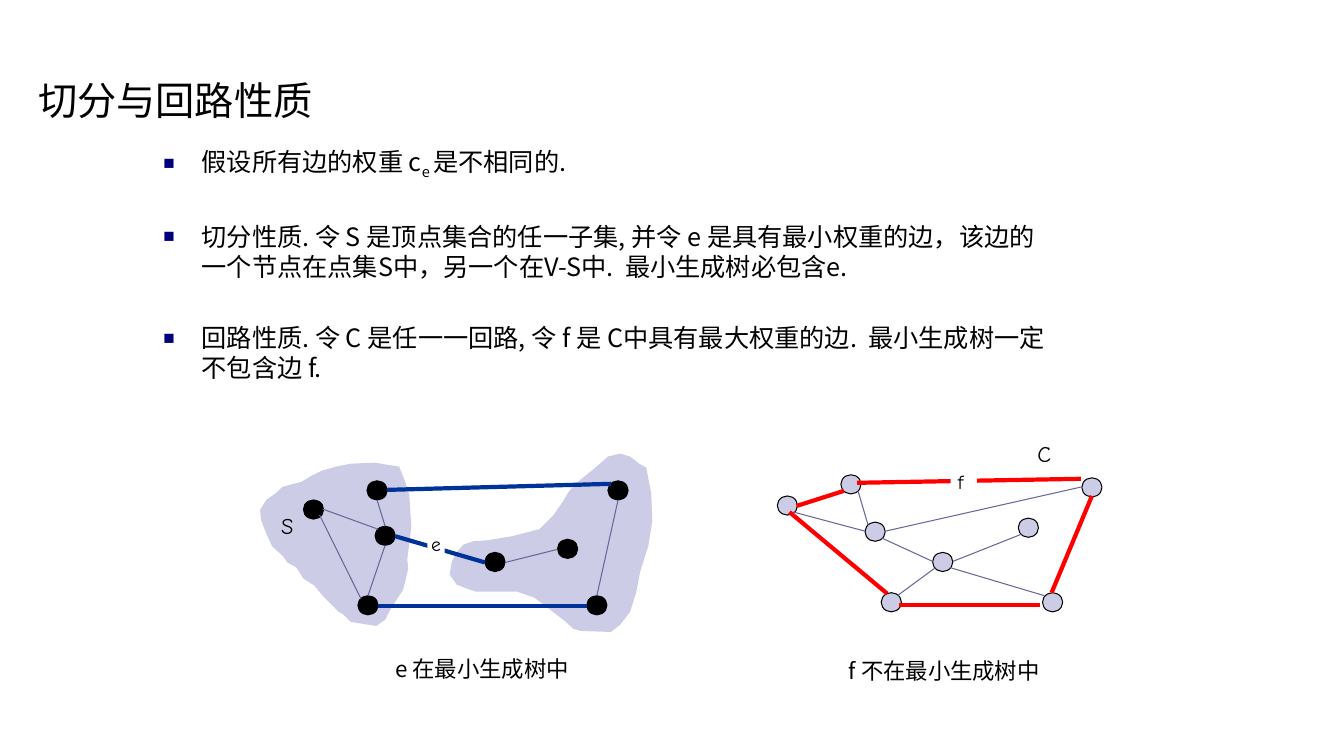
from dataclasses import dataclass
from typing import Any

from lxml import etree
from pptx import Presentation
from pptx import util as u
from pptx.dml.color import RGBColor
from pptx.enum import shapes, text
from pptx.oxml import ns

HAN, COMIC = "Noto Sans CJK SC", "Comic Neue"
BLACK, WHITE, PALE = "000000", "FFFFFF", "CCCCE6"
NAVY, BLUE, RED, SLATE = "00007D", "003399", "FF0000", "666699"
GAP = 29.4
Point = tuple[float, float]


@dataclass
class Edge:
    start: Point
    end: Point
    hue: str = SLATE
    width: float = 0.75


@dataclass
class Run:
    words: str
    sub: bool = False


@dataclass
class Label:
    words: str
    box: tuple[float, float, float, float]
    font: str = COMIC
    size: float = 16
    wrap: bool = False
    masks: bool = False


ITEMS = [
    [Run("假设所有边的权重 c"), Run("e ", sub=True), Run("是不相同的.")],
    [Run("切分性质. 令 S 是顶点集合的任一子集, 并令 e 是具有最小权重的边，"
         "该边的一个节点在点集S中，另一个在V-S中.  最小生成树必包含e.")],
    [Run("回路性质. 令 C 是任一一回路, 令 f 是 C中具有最大权重的边.  "
         "最小生成树一定不包含边 f.")],
]

# Diagram positions are in inches; size() turns them into Cm.
CUT_SETS: list[list[Point]] = [
    [(6.15, 4.5), (6.25, 4.53), (6.34, 4.6), (6.41, 4.64), (6.46, 4.9), (6.47, 5.17),
     (6.43, 5.42), (6.35, 5.67), (6.31, 5.88), (6.25, 6.07), (6.15, 6.2), (6.06, 6.27),
     (5.76, 6.26), (5.69, 6.24), (5.6, 6.16), (5.47, 6.06), (5.41, 6.01),
     (5.3, 5.93), (5.13, 5.87), (4.72, 5.87), (4.63, 5.84), (4.53, 5.8),
     (4.46, 5.7), (4.48, 5.58), (4.53, 5.48), (4.6, 5.4), (4.7, 5.37), (4.84, 5.36),
     (5.08, 5.32), (5.35, 5.25), (5.42, 5.18), (5.49, 5.11), (5.58, 4.98),
     (5.64, 4.88), (5.72, 4.79), (5.88, 4.66), (5.94, 4.61), (6.03, 4.53)],
    [(2.8, 4.83), (2.99, 4.78), (3.09, 4.72), (3.19, 4.67), (3.33, 4.63),
     (3.48, 4.6), (3.72, 4.59), (3.96, 4.63), (4.02, 4.78), (4.06, 4.91), (4.08, 5.23),
     (4.04, 5.55), (4.05, 5.64), (4, 5.85), (3.87, 6.05), (3.82, 6.15), (3.73, 6.21),
     (3.48, 6.17), (3.4, 6.09), (3.36, 6.07), (3.25, 5.96), (3.2, 5.91),
     (3.12, 5.81), (3.01, 5.74), (2.94, 5.63), (2.85, 5.58), (2.81, 5.52),
     (2.7, 5.42), (2.64, 5.29), (2.59, 5.16), (2.58, 5.06), (2.64, 4.96), (2.74, 4.89)],
]
CUT_NODES = [(3.01, 4.96), (6.03, 4.77), (5.82, 5.91), (3.64, 4.77),
             (3.72, 5.22), (3.55, 5.91), (5.53, 5.35), (4.81, 5.48)]
CUT_EDGES = [
    Edge((5.82, 6.01), (3.75, 6.01), BLUE, 3),
    Edge((3.84, 4.86), (6.06, 4.8), BLUE, 3),
    Edge((3.92, 5.32), (4.81, 5.58), BLUE, 3),
    Edge((3.2, 5.05), (3.75, 5.25)),
    Edge((3.17, 5.11), (3.58, 5.94)),
    Edge((3.74, 4.96), (3.82, 5.22)),
    Edge((3.82, 5.41), (3.65, 5.91)),
    Edge((6.13, 4.96), (5.92, 5.91)),
    Edge((5.53, 5.45), (5.01, 5.58)),
]
LOOP_NODES = [(7.71, 4.92), (10.73, 4.74), (10.34, 5.88), (8.34, 4.71),
              (8.58, 5.18), (8.74, 5.88), (10.1, 5.14), (9.25, 5.48)]
LOOP_EDGES = [
    Edge((7.9, 5.02), (8.37, 4.87), RED, 3),
    Edge((8.8, 5.89), (7.83, 5.08), RED, 3),
    Edge((10.83, 4.92), (10.43, 5.88), RED, 3),
    Edge((10.32, 6), (8.92, 6), RED, 3),
    Edge((8.5, 4.79), (10.72, 4.75), RED, 3),
    Edge((8.51, 4.87), (8.61, 5.21)),
    Edge((10.73, 4.83), (8.78, 5.27)),
    Edge((9.25, 5.57), (8.75, 5.34)),
    Edge((9.28, 5.63), (8.9, 5.91)),
    Edge((10.36, 5.91), (9.42, 5.63)),
    Edge((10.13, 5.3), (9.45, 5.57)),
    Edge((8.58, 5.27), (7.87, 5.08)),
]
LABELS = [
    Label("f ", (9.43, 4.66, 0.26, 0.24), size=14, masks=True),
    Label("C", (10.19, 4.32, 0.34, 0.37)),
    Label("S", (2.69, 5.03, 0.36, 0.37)),
    Label("e 在最小生成树中", (3.82, 6.45, 1.97, 0.37), HAN, wrap=True),
    Label("e", (4.24, 5.27, 0.17, 0.24), size=14, masks=True),
    Label("f 不在最小生成树中", (8.32, 6.47, 2.18, 0.37), HAN),
]


def size(value: float) -> u.Length:
    """Turn inches into a Cm length."""
    return u.Cm(value * 2.54)


def tint(code: str) -> RGBColor:
    return RGBColor.from_string(code)


def paint(shape: Any, hue: str) -> None:
    shape.shadow.inherit = False
    shape.fill.solid()
    shape.fill.fore_color.rgb = tint(hue)
    shape.line.fill.background()


def place(shape: Any, *box: float) -> None:
    shape.left, shape.top, shape.width, shape.height = map(size, box)


def write(para: Any, run: Run, font: str, points: float) -> None:
    part = para.add_run()
    part.text = run.words
    part.font.size = u.Pt(points)
    part.font.color.rgb = tint(BLACK)
    part.font.name = font
    props = part.font._element
    etree.SubElement(props, ns.qn("a:ea")).set("typeface", font)
    if run.sub:
        props.set("baseline", "-25000")


def bullet(para: Any) -> None:
    props = para._p.get_or_add_pPr()
    props.set("marL", str(size(0.38)))
    props.set("indent", str(-size(0.38)))
    color = etree.SubElement(props, ns.qn("a:buClr"))
    etree.SubElement(color, ns.qn("a:srgbClr")).set("val", NAVY)
    etree.SubElement(props, ns.qn("a:buSzPct")).set("val", "75000")
    etree.SubElement(props, ns.qn("a:buChar")).set("char", "■")


def fill_text(slide: Any) -> None:
    """Fill the title and body placeholders."""
    title, body = slide.placeholders
    place(title, 0.28, 0.7, 9, 0.58)
    title.text_frame.vertical_anchor = text.MSO_ANCHOR.MIDDLE
    head = title.text_frame.paragraphs[0]
    head.alignment = text.PP_ALIGN.LEFT
    write(head, Run("切分与回路性质"), HAN, 28)
    place(body, 1.52, 1.44, 9, 4.25)
    for holder in (title, body):
        holder.text_frame.auto_size = text.MSO_AUTO_SIZE.NONE
    for rank, runs in enumerate(ITEMS):
        frame = body.text_frame
        para = frame.add_paragraph() if rank else frame.paragraphs[0]
        bullet(para)
        para.space_before = u.Pt(GAP if rank else 0)
        para.line_spacing = u.Pt(21.5)
        for run in runs:
            write(para, run, HAN, 18)


def add_blob(slide: Any, knots: list[Point]) -> None:
    first, *rest = [tuple(map(size, knot)) for knot in knots]
    pen = slide.shapes.build_freeform(*first)
    pen.add_line_segments(rest, close=True)
    paint(pen.convert_to_shape(), PALE)


def add_graph(slide: Any, nodes: list[Point], edges: list[Edge], hue: str) -> None:
    for x, y in nodes:
        node = slide.shapes.add_shape(shapes.MSO_SHAPE.OVAL, *map(size, (x, y, 0.2, 0.19)))
        paint(node, hue)
        node.line.color.rgb = tint(BLACK)
        node.line.width = u.Pt(0.75)
    for edge in edges:
        line = slide.shapes.add_connector(
            shapes.MSO_CONNECTOR.STRAIGHT, *map(size, edge.start + edge.end))
        line.line.color.rgb = tint(edge.hue)
        line.line.width = u.Pt(edge.width)
        etree.SubElement(line._element.spPr, ns.qn("a:effectLst"))


def add_label(slide: Any, label: Label) -> None:
    box = slide.shapes.add_textbox(*map(size, label.box))
    frame = box.text_frame
    frame.word_wrap = label.wrap or label.masks
    para = frame.paragraphs[0]
    if label.masks:
        paint(box, WHITE)
        frame.margin_left = frame.margin_right = frame.margin_top = frame.margin_bottom = 0
        frame.vertical_anchor = text.MSO_ANCHOR.MIDDLE
        para.alignment = text.PP_ALIGN.CENTER
    if label.font == HAN:
        para.line_spacing = u.Pt(19.3)
    write(para, Run(label.words), label.font, label.size)


def main() -> None:
    deck = Presentation()
    deck.slide_width, deck.slide_height = size(13.33), size(7.5)
    slide = deck.slides.add_slide(deck.slide_layouts[1])
    fill_text(slide)
    add_graph(slide, LOOP_NODES, LOOP_EDGES, PALE)
    for knots in CUT_SETS:
        add_blob(slide, knots)
    add_graph(slide, CUT_NODES, CUT_EDGES, BLACK)
    for label in LABELS:
        add_label(slide, label)
    deck.save("out.pptx")


if __name__ == "__main__":
    main()
